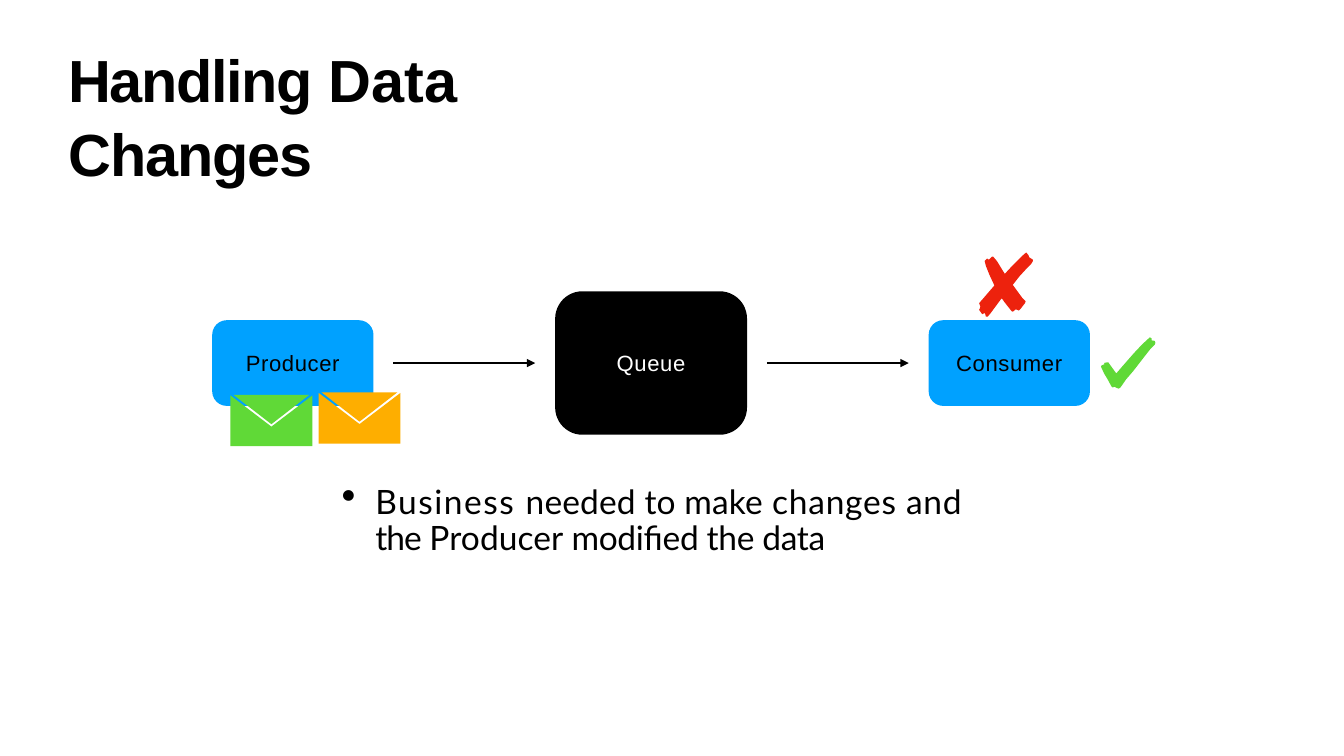
from collections import namedtuple

from lxml import etree
from pptx import Presentation
from pptx.dml.color import RGBColor
from pptx.enum import shapes, text
from pptx.oxml import ns
from pptx.util import Pt

Box = namedtuple("Box", "left top width height")

COLOURS = {
    "black": "000000",
    "white": "FFFFFF",
    "blue": "00A1FF",
    "green": "60D937",
    "amber": "FEAE00",
    "red": "ED220D",
}
UNIT = 0.72
ENVELOPE = [
    [(0, 1), (0, 84), (134, 84), (134, 1), (67, 52)],
    [(5, 0), (129, 0), (67, 48)],
]
CHECK = [[
    (0, 48), (5, 59), (11, 69), (17, 80), (19, 82), (22, 81), (26, 83), (29, 84),
    (32, 82), (41, 69), (53, 55), (70, 33), (81, 19), (88, 12), (89, 9), (88, 6),
    (83, 5), (83, 2), (80, 0), (67, 12), (53, 27), (39, 43), (26, 58), (25, 59),
    (17, 48), (12, 41), (10, 41), (5, 42), (6, 44), (1, 46),
]]
CROSS = [[
    (13, 10), (9, 14), (11, 22), (17, 37), (24, 52), (25, 54), (0, 83), (2, 89),
    (1, 92), (0, 94), (5, 101), (9, 99), (10, 101), (11, 105), (14, 105), (19, 99),
    (36, 76), (37, 75), (42, 82), (53, 96), (55, 97), (60, 93), (65, 95), (68, 92),
    (71, 88), (75, 83), (76, 80), (71, 75), (55, 53), (66, 39), (77, 27), (85, 19),
    (88, 14), (88, 12), (82, 8), (81, 5), (77, 0), (70, 6), (55, 21), (42, 35),
    (40, 32), (29, 14), (23, 7), (21, 7), (16, 12),
]]


def rgb(name):
    """Return the named colour."""
    return RGBColor.from_string(COLOURS[name])


def place(shape, box):
    """Move and size a shape to a box given in points."""
    shape.left, shape.top, shape.width, shape.height = map(Pt, box)


def paint(shape, colour):
    """Give a shape a flat fill without line or shadow."""
    shape.shadow.inherit = False
    shape.fill.solid()
    shape.fill.fore_color.rgb = rgb(colour)
    shape.line.fill.background()


def clear_frame(frame, anchor):
    """Remove the margins of a text frame and set its anchor."""
    frame.word_wrap = True
    frame.auto_size = text.MSO_AUTO_SIZE.NONE
    frame.vertical_anchor = anchor
    frame.margin_left = frame.margin_right = Pt(0)
    frame.margin_top = frame.margin_bottom = Pt(0)


def write(para, words, size, font="Arial", colour="black", bold=False, spacing=0):
    """Add a formatted span of text to a paragraph."""
    span = para.add_run()
    span.text = words
    span.font.size = Pt(size)
    span.font.name = font
    span.font.bold = bold
    span.font.color.rgb = rgb(colour)
    span.font._element.set("spc", str(round(spacing * 100)))


def draw_title(page, box):
    """Fill the title placeholder."""
    title = page.shapes.title
    place(title, box)
    clear_frame(title.text_frame, text.MSO_ANCHOR.TOP)
    para = title.text_frame.paragraphs[0]
    para.alignment = text.PP_ALIGN.LEFT
    para.line_spacing = 1.05
    para.space_before = Pt(1.1)
    for words, spacing in [("Handling ", -1.6), ("Data ", 0.2), ("Changes", -1.4)]:
        write(para, words, 70, bold=True, spacing=spacing)


def draw_node(page, box, label, fill, ink, rounding):
    """Draw a rounded box with a centred label."""
    node = page.shapes.add_shape(shapes.MSO_SHAPE.ROUNDED_RECTANGLE, *map(Pt, box))
    node.adjustments[0] = rounding
    paint(node, fill)
    clear_frame(node.text_frame, text.MSO_ANCHOR.MIDDLE)
    para = node.text_frame.paragraphs[0]
    para.alignment = text.PP_ALIGN.CENTER
    write(para, label, 26, colour=ink, spacing=0.7)


def draw_arrow(page, start, end, middle):
    """Draw a level arrow from start to end."""
    arrow = page.shapes.add_connector(
        shapes.MSO_CONNECTOR.STRAIGHT, Pt(start), Pt(middle), Pt(end), Pt(middle))
    arrow.line.width = Pt(1.65)
    arrow.line.color.rgb = rgb("black")
    etree.SubElement(arrow.line._get_or_add_ln(), ns.qn("a:tailEnd"),
                     type="triangle", w="lg", len="lg")
    etree.SubElement(arrow._element.spPr, ns.qn("a:effectLst"))


def draw_icon(page, left, top, outlines, colour):
    """Draw closed outlines as one filled icon."""
    first, *others = outlines
    builder = page.shapes.build_freeform(*first[0], scale=Pt(UNIT))
    builder.add_line_segments(first[1:])
    for outline in others:
        builder.move_to(*outline[0])
        builder.add_line_segments(outline[1:])
    paint(builder.convert_to_shape(Pt(left), Pt(top)), colour)


def draw_flow(page, box):
    """Draw the message flow with its envelopes and result marks."""
    nodes = [
        ("Producer", 190, 101, "blue", "black", 0.17),
        ("Queue", 226, 169, "black", "white", 0.19),
        ("Consumer", 190, 101, "blue", "black", 0.17),
    ]
    gap = (box.width - sum(node[1] for node in nodes)) / (len(nodes) - 1)
    middle = box.top + box.height / 2
    margin = 23.5
    left = box.left
    for index, (label, width, height, fill, ink, rounding) in enumerate(nodes):
        node_box = Box(left, middle - height / 2, width, height)
        draw_node(page, node_box, label, fill, ink, rounding)
        if index:
            draw_arrow(page, left - gap + margin, left - margin, middle)
        left += width + gap
    draw_icon(page, box.left + 125.3, middle + 34.5, ENVELOPE, "amber")
    draw_icon(page, box.left + 21.5, middle + 37.5, ENVELOPE, "green")
    right = box.left + box.width
    draw_icon(page, right + 13, middle - 30.3, CHECK, "green")
    draw_icon(page, right - 130.5, middle - 130.3, CROSS, "red")


def draw_note(page, box):
    """Write the bulleted note."""
    note = page.shapes.add_textbox(*map(Pt, box))
    clear_frame(note.text_frame, text.MSO_ANCHOR.TOP)
    note.text_frame.margin_top = Pt(6.5)
    para = note.text_frame.paragraphs[0]
    para.line_spacing = Pt(42.4)
    para.space_before = Pt(6.7)
    props = para._p.get_or_add_pPr()
    props.set("marL", str(Pt(40.3)))
    props.set("indent", str(Pt(-39.6)))
    etree.SubElement(props, ns.qn("a:buSzPct"), val="123000")
    etree.SubElement(props, ns.qn("a:buChar"), char="•")
    spans = [
        ("Business ", 1.8), ("needed to make ", 0.2), ("changes and ", 0.9),
        ("the ", -1.1), ("Producer ", 0.1), ("modified the data", -0.4),
    ]
    for words, spacing in spans:
        write(para, words, 39.5, font="Lato", spacing=spacing)


def main():
    """Build and save the deck."""
    deck = Presentation()
    deck.slide_width, deck.slide_height = Pt(1583.28), Pt(890.64)
    page = deck.slides.add_slide(deck.slide_layouts[5])
    draw_title(page, Box(80.6, 46, 762, 86.5))
    draw_flow(page, Box(250, 343.2, 1034, 169))
    draw_note(page, Box(401.8, 565.2, 785.5, 92))
    deck.save("out.pptx")


if __name__ == "__main__":
    main()
